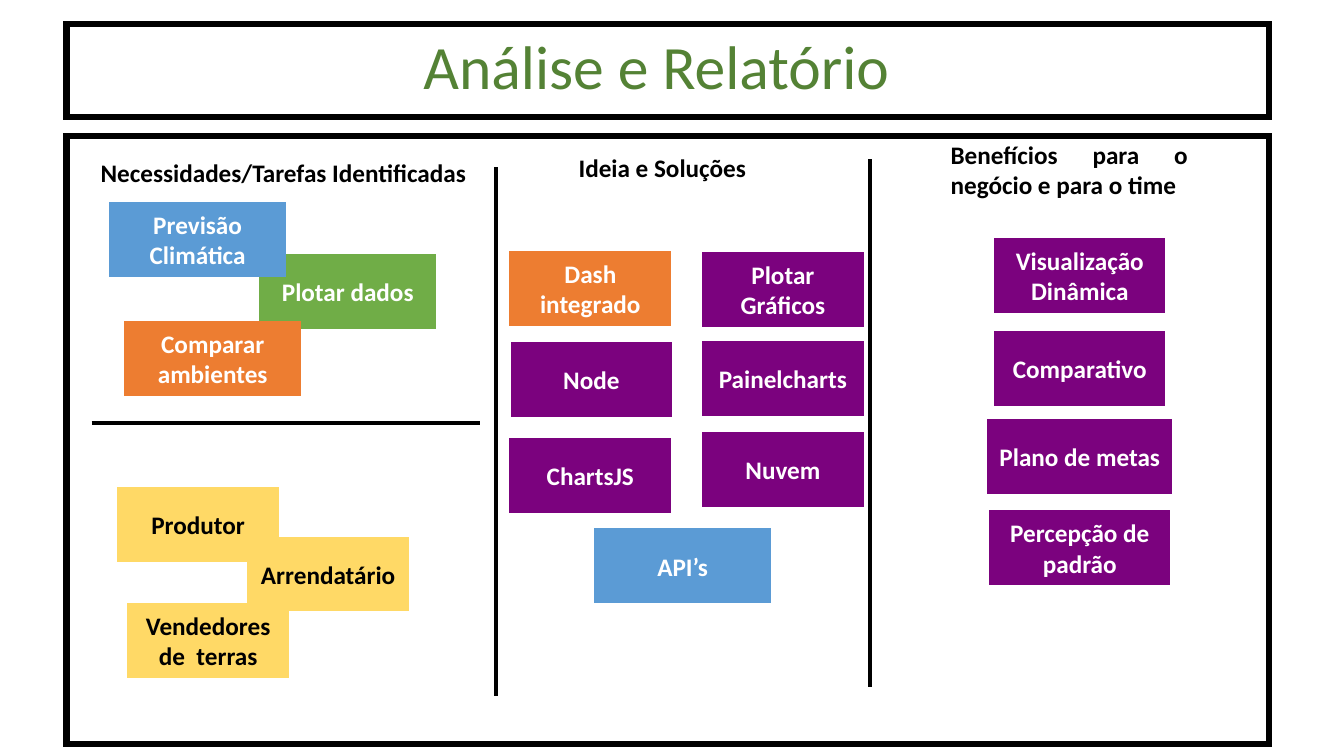
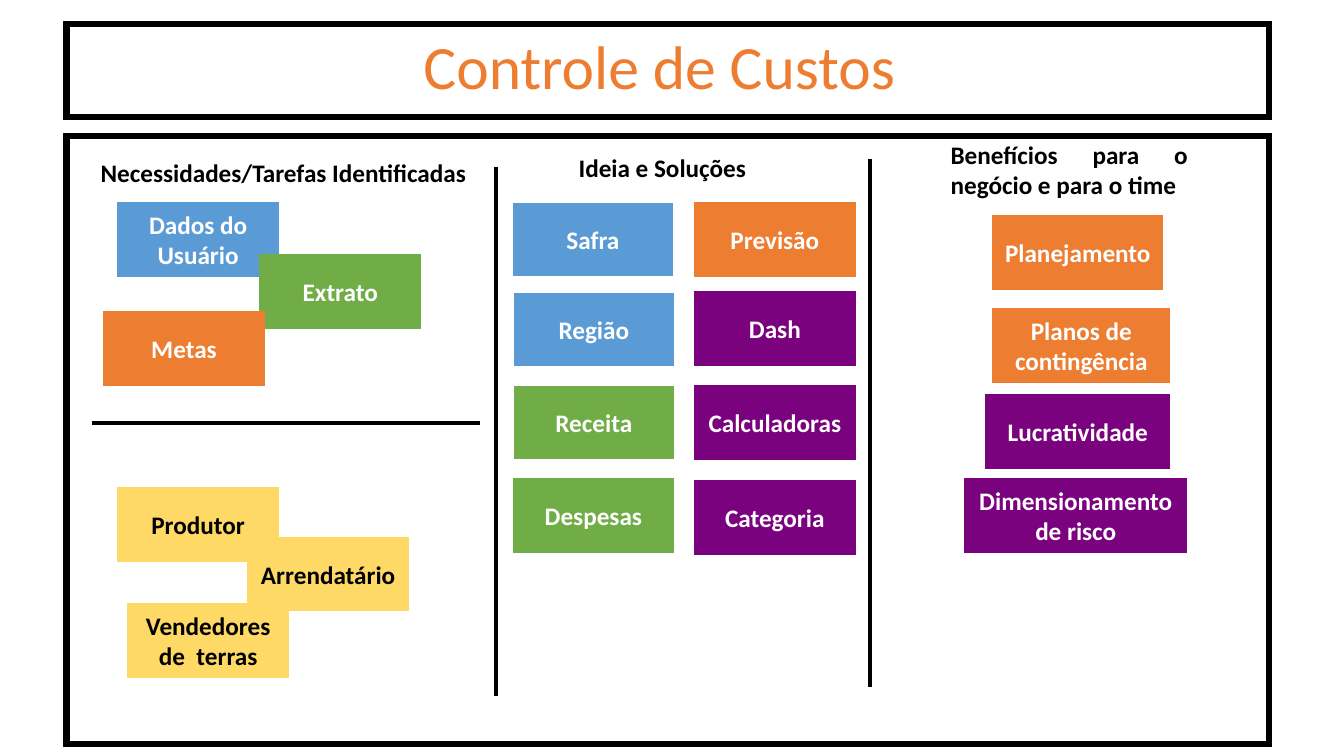
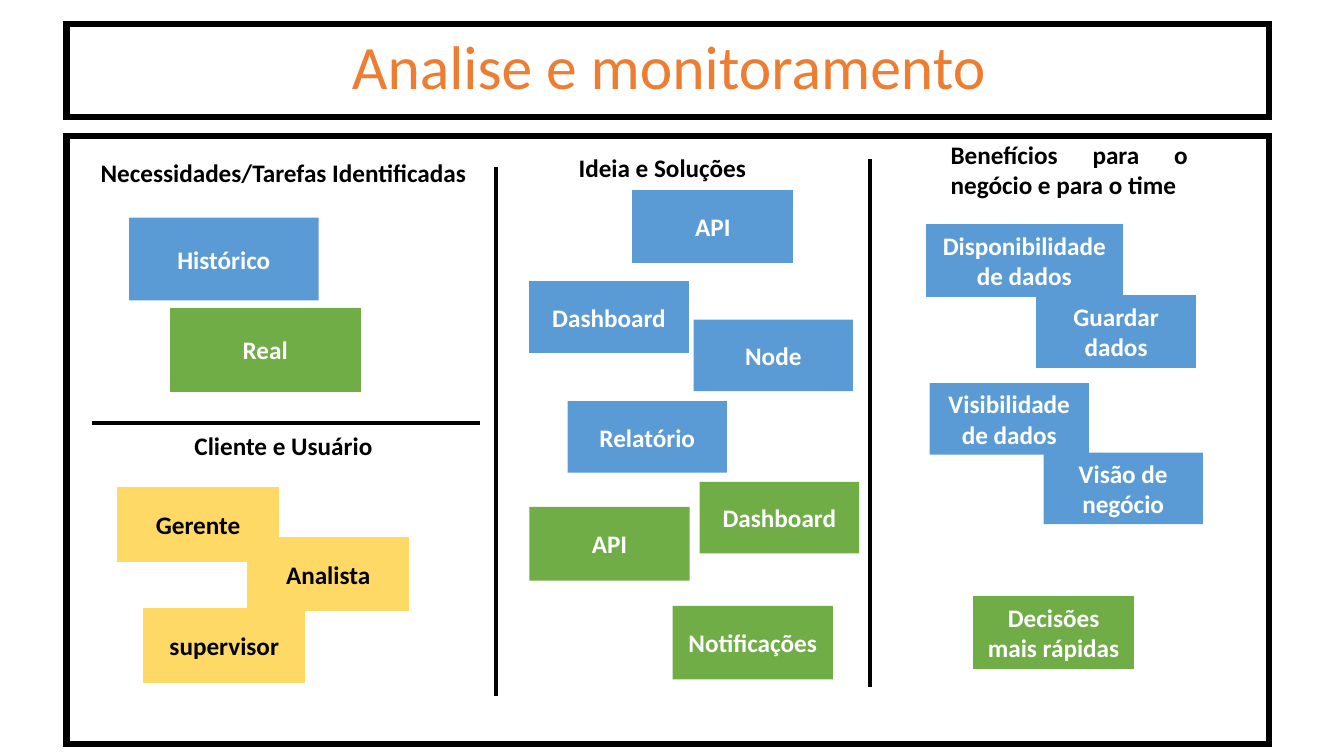
from lxml.etree import SubElement
from pptx import Presentation
from pptx.dml.color import RGBColor
from pptx.enum.shapes import MSO_CONNECTOR, MSO_SHAPE
from pptx.enum.text import MSO_ANCHOR, MSO_AUTO_SIZE, PP_ALIGN
from pptx.oxml.ns import qn
from pptx.util import Inches, Pt

BLACK, WHITE = "000000", "FFFFFF"
BLUE, GREEN, PURPLE = "5B9BD5", "70AD47", "7B027E"
ORANGE, YELLOW, MOSS = "ED7D31", "FFD966", "548235"

BODY = {"name": "Calibri", "size": Pt(18), "bold": True}
HEAD = {"name": "Calibri", "size": Pt(44), "bold": False}
LABEL = {"word_wrap": False, "auto_size": MSO_AUTO_SIZE.NONE,
         "vertical_anchor": MSO_ANCHOR.TOP}
BLOCK = {**LABEL, "word_wrap": True}
MIDDLE = {**BLOCK, "vertical_anchor": MSO_ANCHOR.MIDDLE}

WIDE, TALL = 1.59, 0.73
SLIM, LOW = 1.58, 0.71

FARMERS = [
    (YELLOW, "Produtor", 1.17, 4.84),
    (YELLOW, "Arrendatário", 2.46, 5.33),
    (YELLOW, "Vendedores de  terras", 1.27, 5.99),
]

REPORT = FARMERS + [
    (GREEN, "Plotar dados", 2.58, 2.53, 1.74),
    (ORANGE, "Comparar\nambientes", 1.24, 3.19, 1.74),
    (BLUE, "Previsão Climática", 1.09, 2.01, 1.74),
    (ORANGE, "Dash integrado", 5.06, 2.5),
    (PURPLE, "Node", 5.07, 3.4),
    (PURPLE, "ChartsJS", 5.06, 4.35),
    (PURPLE, "Plotar Gráficos", 6.97, 2.51),
    (PURPLE, "Painelcharts", 6.97, 3.39),
    (PURPLE, "Nuvem", 6.97, 4.29),
    (BLUE, "API’s", 5.9, 5.25, 1.74),
    (PURPLE, "Visualização Dinâmica", 9.87, 2.37, 1.68),
    (PURPLE, "Comparativo", 9.87, 3.29, 1.68),
    (PURPLE, "Plano de metas", 9.8, 4.16, 1.82),
    (PURPLE, "Percepção de padrão", 9.82, 5.07, 1.78),
]

COSTS = FARMERS + [
    (BLUE, "Dados do Usuário", 1.17, 2.01),
    (GREEN, "Extrato", 2.58, 2.53),
    (ORANGE, "Metas", 1.03, 3.09),
    (BLUE, "Safra", 5.09, 2.02, SLIM, LOW),
    (BLUE, "Região", 5.1, 2.91, SLIM, LOW),
    (GREEN, "Receita", 5.1, 3.84, SLIM, LOW),
    (GREEN, "Despesas", 5.09, 4.75),
    (ORANGE, "Previsão", 6.89, 2.01),
    (PURPLE, "Dash", 6.89, 2.89),
    (PURPLE, "Calculadoras", 6.89, 3.83),
    (PURPLE, "Categoria", 6.89, 4.77),
    (ORANGE, "Planejamento", 9.85, 2.14, 1.68),
    (ORANGE, "Planos de contingência", 9.85, 3.06, 1.75),
    (PURPLE, "Lucratividade", 9.78, 3.92, 1.82),
    (PURPLE, "Dimensionamento de risco", 9.57, 4.75, 2.2),
]

WATCH = [
    (YELLOW, "Gerente", 1.17, 4.84),
    (YELLOW, "Analista", 2.46, 5.33),
    (YELLOW, "supervisor", 1.43, 6.04),
    (BLUE, "Histórico", 1.28, 2.16, 1.88, 0.82, 0),
    (GREEN, "Real", 1.69, 3.06, 1.88, 0.82),
    (BLUE, "API", 6.28, 1.89, SLIM, LOW),
    (BLUE, "Dashboard", 5.25, 2.79, SLIM, LOW),
    (BLUE, "Node", 6.88, 3.17, SLIM, LOW, 0),
    (BLUE, "Relatório", 5.63, 3.98, SLIM, LOW, 0),
    (GREEN, "Dashboard", 6.94, 4.78, SLIM, LOW, 0),
    (GREEN, "API", 5.25, 5.03, WIDE, TALL, 0),
    (GREEN, "Notificações", 6.67, 6.01, WIDE, TALL, 0),
    (BLUE, "Disponibilidade de dados", 9.19, 2.23, 1.94, LOW),
    (BLUE, "Guardar dados", 10.28, 2.93, SLIM, LOW),
    (BLUE, "Visibilidade de dados", 9.22, 3.8, SLIM, LOW, 0),
    (BLUE, "Visão de negócio", 10.35, 4.49, SLIM, LOW, 0),
    (GREEN, "Decisões mais rápidas", 9.66, 5.92, SLIM, LOW),
]


def tint(item, shade):
    item.rgb = RGBColor.from_string(shade)


def apply(item, values):
    for key, value in values.items():
        setattr(item, key, value)


def write(shape, text, font, shade, frame, align=PP_ALIGN.LEFT):
    box = shape.text_frame
    box.text = text
    apply(box, frame)
    for line in box.paragraphs:
        line.alignment = align
        for run in line.runs:
            apply(run.font, font)
            tint(run.font.color, shade)


def stroke(shape, shade, width):
    if width:
        shape.line.width = Pt(width)
        shape.line.fill.solid()
        tint(shape.line.fill.fore_color, shade)
        SubElement(shape._element.spPr.find(qn("a:ln")), qn("a:miter"), lim="800000")
    else:
        shape.line.fill.background()


def add_box(slide, x, y, w, h, fill, shade, width):
    box = slide.shapes.add_shape(
        MSO_SHAPE.RECTANGLE, Inches(x), Inches(y), Inches(w), Inches(h))
    box.shadow.inherit = False
    if fill:
        box.fill.solid()
        tint(box.fill.fore_color, fill)
    else:
        box.fill.background()
    stroke(box, shade, width)
    return box


def add_card(slide, fill, text, x, y, w=WIDE, h=TALL, edge=1):
    card = add_box(slide, x, y, w, h, fill, fill, edge)
    shade = BLACK if fill == YELLOW else WHITE
    write(card, text, BODY, shade, MIDDLE, PP_ALIGN.CENTER)


def add_rule(slide, x, y, right, low):
    rule = slide.shapes.add_connector(
        MSO_CONNECTOR.STRAIGHT, Inches(x), Inches(y), Inches(right), Inches(low))
    stroke(rule, BLACK, 3)
    SubElement(rule._element.spPr, qn("a:effectLst"))


def add_label(slide, text, x, y, w, h=0.4, frame=LABEL, align=PP_ALIGN.LEFT):
    label = slide.shapes.add_textbox(Inches(x), Inches(y), Inches(w), Inches(h))
    write(label, text, BODY, BLACK, frame, align)


def add_title(slide, text, shade, x, w):
    title = slide.shapes.title
    apply(title, {"left": Inches(x), "top": Inches(0.23),
                  "width": Inches(w), "height": Inches(0.84)})
    write(title, text, HEAD, shade, LABEL)


def add_board(slide):
    for y, h in ((0.24, 0.92), (1.35, 6.03)):
        add_box(slide, 0.66, y, 11.93, h, None, BLACK, 4.5)
    add_rule(slide, 0.91, 4.2, 4.76, 4.2)
    for x, y in ((4.92, 1.66), (8.63, 1.58)):
        add_rule(slide, x, y, x, y + 5.24)
    add_label(slide, "Necessidades/Tarefas Identificadas", 0.9, 1.51, 3.86)
    add_label(slide, "Ideia e Soluções", 5.64, 1.46, 1.87)
    add_label(slide, "Benefícios para o negócio e para o time",
              9.33, 1.33, 2.55, 0.71, BLOCK, PP_ALIGN.JUSTIFY)


def add_page(deck, title, shade, x, w, cards):
    slide = deck.slides.add_slide(deck.slide_layouts.get_by_name("Title Only"))
    add_title(slide, title, shade, x, w)
    for card in cards:
        add_card(slide, *card)
    add_board(slide)
    return slide


def main():
    deck = Presentation()
    deck.slide_width, deck.slide_height = Inches(13.33), Inches(7.5)
    add_page(deck, "Análise e Relatório", MOSS, 4.1, 4.87, REPORT)
    add_page(deck, "Controle de Custos", ORANGE, 4.1, 4.93, COSTS)
    watch = add_page(deck, "Analise e monitoramento", ORANGE, 3.39, 6.56, WATCH)
    add_label(watch, "Cliente e Usuário", 1.83, 4.22, 1.98)
    deck.save("out.pptx")


main()
